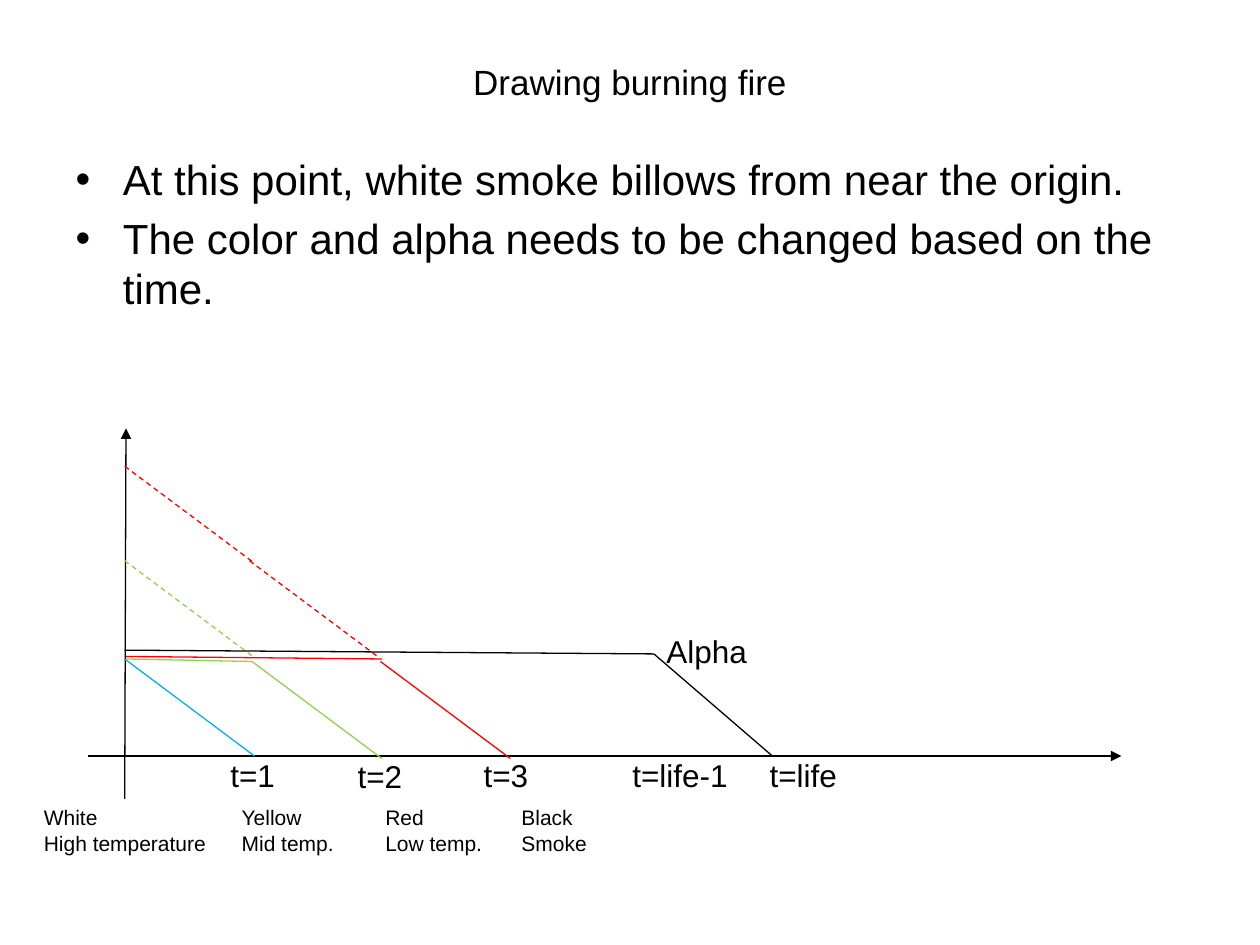
"""Build the slide on how colour and alpha change over the life of a fire."""
from lxml import etree
from pptx import Presentation
from pptx import util as u
from pptx.dml.color import RGBColor
from pptx.enum import dml, shapes, text
from pptx.oxml.ns import qn

BLACK = RGBColor(0x00, 0x00, 0x00)
BLUE = RGBColor(0x00, 0xB0, 0xF0)
GREEN = RGBColor(0x92, 0xD0, 0x50)
RED = RGBColor(0xFF, 0x00, 0x00)

TITLE = "Drawing burning fire"
BULLETS = [
    "At this point, white smoke billows from near the origin.",
    "The color and alpha needs to be changed based on the time.",
]
AXES = [((0.99, 6.34), (1, 3.4)), ((0.7, 6), (8.9, 6))]
SLOPE = (1.03, 0.77)
FALLING = [
    ((0.99, 5.23), BLUE, False),
    ((2, 5.25), GREEN, False),
    ((3.02, 5.25), RED, False),
    ((0.99, 4.45), GREEN, True),
    ((1.98, 4.45), RED, True),
    ((0.99, 3.7), RED, True),
]
LEVELS = [
    ((1, 5.23), (2, 5.25), GREEN),
    ((1, 5.21), (3.03, 5.23), RED),
    ((0.99, 5.16), (5.19, 5.19), BLACK),
    ((5.19, 5.19), (6.13, 6), BLACK),
]
STAGE_TOP, STAGE_SIZE, STAGE_HEIGHT = 6.34, 12, 0.5
STAGES = [
    ("White\vHigh temperature", 0.25, 1.5),
    ("Yellow\nMid temp.", 1.82, 0.94),
    ("Red\vLow temp.", 2.96, 0.98),
    ("Black\vSmoke", 4.04, 0.72),
]
MARK_SIZE, MARK_HEIGHT = 18, 0.4
MARKS = [
    ("t=1", 1.73, 5.95, 0.56),
    ("t=2", 2.74, 5.96, 0.56),
    ("t=3", 3.74, 5.95, 0.56),
    ("t=life-1", 4.92, 5.95, 0.97),
    ("t=life", 6.01, 5.95, 0.74),
    ("Alpha", 5.19, 4.97, 0.85),
]


def write(frame, words, size):
    frame.text = words
    for para in frame.paragraphs:
        style = {"name": "Arial", "size": u.Pt(size)}
        for span in para.runs:
            for name, value in style.items():
                setattr(span.font, name, value)
            span.font.color.rgb = BLACK


def place(shape, left, top, width, height):
    spot = {"left": left, "top": top, "width": width, "height": height}
    for name, value in spot.items():
        setattr(shape, name, u.Inches(value))


def add_line(page, start, end, color, dashed=False, arrow=False):
    ends = [u.Inches(value) for value in (*start, *end)]
    line = page.shapes.add_connector(shapes.MSO_CONNECTOR.STRAIGHT, *ends)
    line.line.color.rgb = color
    line.line.width = u.Pt(0.75)
    if dashed:
        line.line.dash_style = dml.MSO_LINE.DASH
    properties = line._element.spPr
    if arrow:
        outline = properties.find(qn("a:ln"))
        etree.SubElement(outline, qn("a:tailEnd"), type="triangle")
    etree.SubElement(properties, qn("a:effectLst"))


def add_label(page, words, left, top, width, height, size):
    spot = [u.Inches(value) for value in (left, top, width, height)]
    box = page.shapes.add_textbox(*spot)
    frame = box.text_frame
    frame.word_wrap = False
    frame.auto_size = text.MSO_AUTO_SIZE.SHAPE_TO_FIT_TEXT
    write(frame, words, size)


def main():
    deck = Presentation()
    deck.slide_width, deck.slide_height = u.Inches(10), u.Inches(7.5)
    page = deck.slides.add_slide(deck.slide_layouts[1])

    title, body = page.placeholders
    place(title, 0.5, 0.3, 9, 0.7)
    title.text_frame.vertical_anchor = text.MSO_ANCHOR.MIDDLE
    write(title.text_frame, TITLE, 20)
    place(body, 0.5, 1.17, 9, 5.53)
    write(body.text_frame, "\n".join(BULLETS), 24)

    for start, end in AXES:
        add_line(page, start, end, BLACK, arrow=True)
    for words, left, width in STAGES:
        add_label(page, words, left, STAGE_TOP, width, STAGE_HEIGHT, STAGE_SIZE)
    for start, color, dashed in FALLING:
        end = (start[0] + SLOPE[0], start[1] + SLOPE[1])
        add_line(page, start, end, color, dashed)
    for start, end, color in LEVELS:
        add_line(page, start, end, color)
    for words, left, top, width in MARKS:
        add_label(page, words, left, top, width, MARK_HEIGHT, MARK_SIZE)

    deck.save("out.pptx")


if __name__ == "__main__":
    main()
